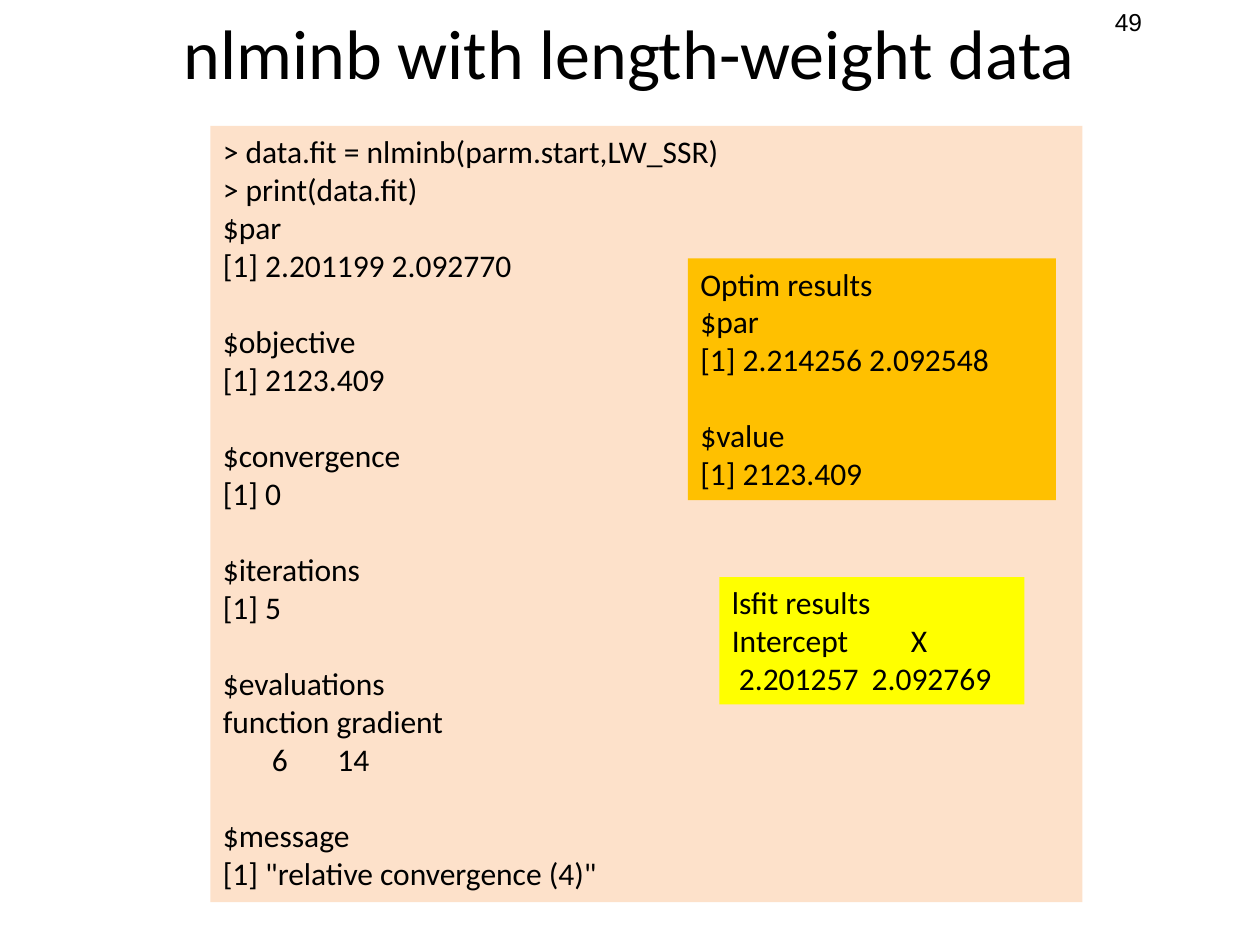
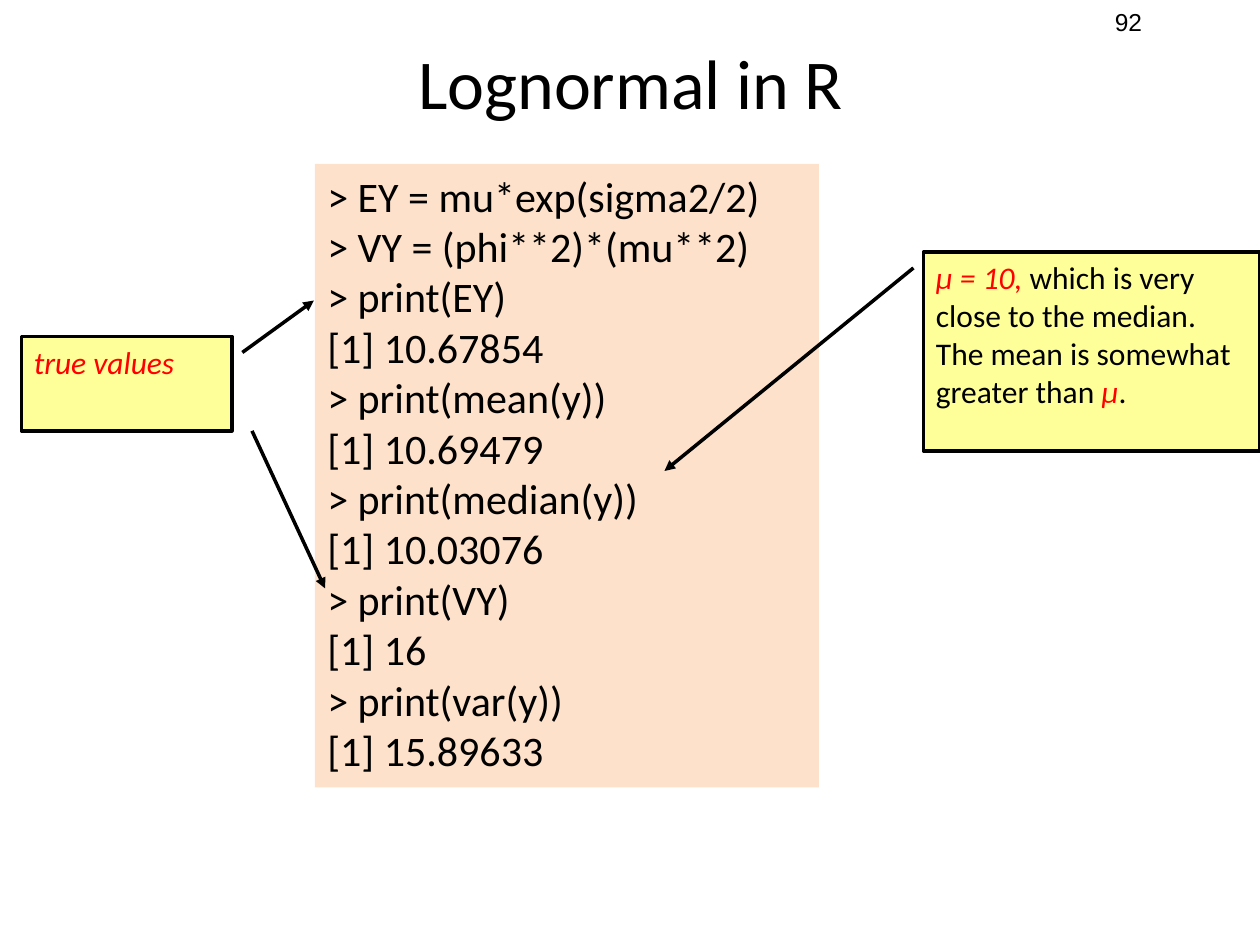
from lxml import etree
from pptx import Presentation
from pptx.dml.color import RGBColor
from pptx.enum.shapes import MSO_CONNECTOR, MSO_SHAPE
from pptx.enum.text import MSO_ANCHOR, PP_ALIGN
from pptx.oxml.ns import qn
from pptx.util import Inches, Pt

RECT, CALLOUT = MSO_SHAPE.RECTANGLE, MSO_SHAPE.LINE_CALLOUT_1
LINE = MSO_CONNECTOR.STRAIGHT
TOP, MIDDLE = MSO_ANCHOR.TOP, MSO_ANCHOR.MIDDLE
LEFT, CENTER = PP_ALIGN.LEFT, PP_ALIGN.CENTER

BLACK = RGBColor(0, 0, 0)
RED = RGBColor(0xFF, 0, 0)
PEACH = RGBColor(0xFD, 0xE1, 0xCA)
ORANGE = RGBColor(0xFF, 0xC0, 0)
YELLOW = RGBColor(0xFF, 0xFF, 0)
CREAM = RGBColor(0xFF, 0xFF, 0x99)
FACE = "Calibri"
LEAD = 1.22  # line height as a share of text size

# Content: blocks of lines; a line with columns is (text, tab stops),
# and a line with red words is a list of (text, is red)
FIT = [
    ["> data.fit = nlminb(parm.start,LW_SSR)", "> print(data.fit)",
     "$par", "[1] 2.201199 2.092770"],
    ["$objective", "[1] 2123.409"],
    ["$convergence", "[1] 0"],
    ["$iterations", "[1] 5"],
    ["$evaluations", "function gradient", ("\t6\t14", (0.39, 0.91))],
    ["$message", '[1] "relative convergence (4)"'],
]
OPTIM = [["Optim results", "$par", "[1] 2.214256 2.092548"],
         ["$value", "[1] 2123.409"]]
LSFIT = [["lsfit results", ("Intercept\tX", (1.42,)),
          (" 2.201257\t2.092769", (1.11,))]]
MOMENTS = [[
    "> EY = mu*exp(sigma2/2)", "> VY = (phi**2)*(mu**2)",
    "> print(EY)", "[1] 10.67854", "> print(mean(y))", "[1] 10.69479",
    "> print(median(y))", "[1] 10.03076", "> print(VY)", "[1] 16",
    "> print(var(y))", "[1] 15.89633",
]]
MEDIAN = [[[("μ = 10,", True),
            (" which is very close to the median. "
             "The mean is somewhat greater than ", False),
            ("μ", True), (".", False)]]]
TRUTH = [[[("true values", True)]]]

# Each slide: title, its left and top, page, code boxes, callouts, arrows
SLIDES = [
    dict(title="nlminb with length-weight data", spot=(0.5, -0.05), page="49",
         boxes=[((1.67, 1, 6.92, 6.16), PEACH, 18, FIT),
                ((5.71, 4.58, 2.42, 1.01), YELLOW, 18, LSFIT),
                ((5.46, 2.05, 2.92, 1.92), ORANGE, 18, OPTIM)],
         notes=[], arrows=[]),
    dict(title="Lognormal in R", spot=(0.51, 0.19), page="92",
         boxes=[((2.5, 1.3, 4, 4.95), PEACH, 24, MOMENTS)],
         notes=[((7.33, 2, 2.67, 1.58), MEDIAN, (0.08, -0.03, 1.1, -0.77)),
                ((0.17, 2.67, 1.67, 0.75), TRUTH, (0.17, 1.05, -0.38, 1.39))],
         arrows=[(2, 3.42, 2.58, 4.67)]),
]


def style(font, size, face=FACE):
    font.size, font.name, font.color.rgb = Pt(size), face, BLACK


def add_tabs(para, stops):
    tabs = etree.SubElement(para._p.get_or_add_pPr(), qn("a:tabLst"))
    for stop in stops:
        etree.SubElement(tabs, qn("a:tab"), pos=str(Inches(stop)), algn="l")


def write(frame, blocks, size):
    para = None
    for block in blocks:
        for num, line in enumerate(block):
            fresh = para is None
            para = frame.paragraphs[0] if fresh else frame.add_paragraph()
            para.alignment = LEFT
            if num == 0 and not fresh:
                para.space_before = Pt(round(size * LEAD))
            if isinstance(line, tuple):
                line, stops = line
                add_tabs(para, stops)
            style(para.font, size)
            if isinstance(line, str):
                para.add_run().text = line
                continue
            for text, red in line:
                run = para.add_run()
                run.text = text
                run.font.italic = red
                run.font.color.rgb = RED if red else BLACK


def add_box(slide, kind, at, fill, size, blocks):
    box = slide.shapes.add_shape(kind, *map(Inches, at))
    box.shadow.inherit = False
    box.fill.solid()
    box.fill.fore_color.rgb = fill
    box.line.fill.background()
    box.text_frame.word_wrap = True
    box.text_frame.vertical_anchor = TOP
    write(box.text_frame, blocks, size)
    return box


def point(shape):
    """Draw the line in black, with an arrowhead at its far end."""
    shape.line.color.rgb = BLACK
    shape.line.width = Pt(2)
    ln = shape._element.spPr.find(qn("a:ln"))
    etree.SubElement(ln, qn("a:tailEnd"), type="triangle")


def add_title(slide, text, spot):
    title = slide.shapes.title
    title.left, title.top = map(Inches, spot)
    title.width, title.height = Inches(8.99), Inches(0.91)
    title.text_frame.text = text
    title.text_frame.vertical_anchor = MIDDLE
    para = title.text_frame.paragraphs[0]
    para.alignment = CENTER
    style(para.font, 40)


def add_page(slide, page):
    at = map(Inches, (8.75, 0.01, 1, 0.34))
    frame = slide.shapes.add_textbox(*at).text_frame
    frame.word_wrap = True
    frame.text = page
    style(frame.paragraphs[0].font, 14, "Arial")


def main():
    deck = Presentation()
    deck.slide_width, deck.slide_height = Inches(10), Inches(7.5)
    for data in SLIDES:
        slide = deck.slides.add_slide(deck.slide_layouts[5])
        add_page(slide, data["page"])
        add_title(slide, data["title"], data["spot"])
        # Code and results
        for at, fill, size, blocks in data["boxes"]:
            add_box(slide, RECT, at, fill, size, blocks)
        # Callouts with their pointers
        for at, blocks, tip in data["notes"]:
            note = add_box(slide, CALLOUT, at, CREAM, 18, blocks)
            for num, part in enumerate(tip):
                note.adjustments[num] = part
            point(note)
        # Loose arrows
        for ends in data["arrows"]:
            arrow = slide.shapes.add_connector(LINE, *map(Inches, ends))
            point(arrow)
            etree.SubElement(arrow._element.spPr, qn("a:effectLst"))
    deck.save("out.pptx")


if __name__ == "__main__":
    main()
